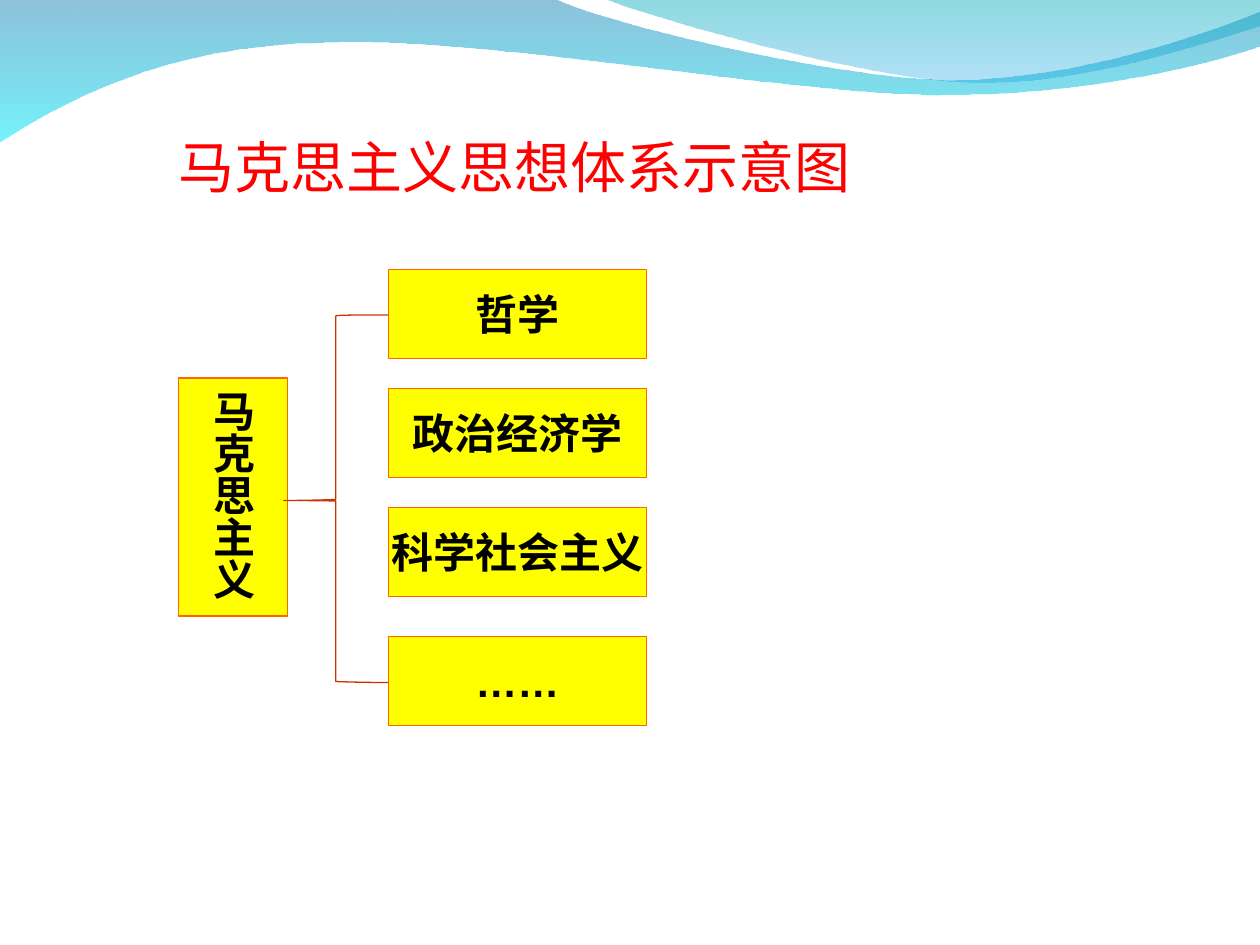
from lxml import etree
from pptx import Presentation
from pptx import util as u
from pptx.dml.color import RGBColor
from pptx.enum import shapes, text
from pptx.oxml import parse_xml
from pptx.oxml.ns import nsdecls, qn

RED = RGBColor(0xFF, 0x00, 0x00)
YELLOW = RGBColor(0xFF, 0xFF, 0x00)
ORANGE = RGBColor(0xFF, 0x66, 0x00)
RUST = RGBColor(0xCC, 0x33, 0x00)
BLACK = RGBColor(0x00, 0x00, 0x00)
STEEL = RGBColor(0x00, 0x79, 0xAF)
CYAN = RGBColor(0x00, 0xEB, 0xF8)
TEAL = RGBColor(0x00, 0xAD, 0xB6)
SKY = RGBColor(0x00, 0x9B, 0xE5)
CJK_FONT = "Noto Sans CJK SC"

# Outlines in centimetres: one point is a line, three points are a Bezier curve
WAVE_LEFT = [
    [(0, -0.03)],
    [(11.18, -0.03)],
    [(12.09, 0.43), (16.87, 1.6), (19.25, 1.6)],
    [(21.67, 1.6), (24.33, 0.66), (25.4, 0.23)],
    [(25.43, 0.91)],
    [(24.97, 1.12), (22.1, 1.93), (18.95, 1.91)],
    [(15.8, 1.91), (9.7, 0.71), (6.53, 0.86)],
    [(3.28, 0.89), (1.17, 2.11), (-0.03, 2.87)],
    [(0, -0.03)],
]
WAVE_RIGHT = [
    [(12.17, -0.03)],
    [(12.93, 0.28), (17.32, 1.57), (19.53, 1.65)],
    [(21.74, 1.75), (24.41, 0.81), (25.4, 0.53)],
    [(25.4, 0)],
    [(12.17, -0.03)],
]
BRACE = [
    [(7.83, 6.35)],
    [(7.32, 6.35), (6.77, 6.35), (6.77, 6.37)],
    [(6.77, 10.07)],
    [(6.77, 10.07), (6.25, 10.09), (5.72, 10.09)],
    [(6.25, 10.09), (6.77, 10.1), (6.77, 10.1)],
    [(6.77, 13.74)],
    [(6.77, 13.74), (7.32, 13.76), (7.83, 13.76)],
]


def add_outline(s, segments, close):
    """Freeform through the segment ends, with its curves set as Beziers."""
    ends = [(u.Cm(x), u.Cm(y)) for x, y in (segment[-1] for segment in segments)]
    builder = s.shapes.build_freeform(*ends[0])
    builder.add_line_segments(ends[1:], close=close)
    sp = builder.convert_to_shape()
    sp.shadow.inherit = False
    lines = list(sp._element.iter(qn("a:lnTo")))
    for line, segment in zip(lines, segments[1:]):
        if len(segment) == 3:
            curve = etree.Element(qn("a:cubicBezTo"))
            for x, y in segment:
                etree.SubElement(curve, qn("a:pt"), x=str(u.Cm(x) - sp.left),
                                 y=str(u.Cm(y) - sp.top))
            line.getparent().replace(line, curve)
    return sp


def add_wave(s, segments, *stops):
    """Filled wave with a downward gradient of (colour, opacity percent) stops."""
    sp = add_outline(s, segments, True)
    sp.line.fill.background()
    stop_xml = "".join(
        f'<a:gs pos="{pos}"><a:srgbClr val="{colour}">'
        f'<a:alpha val="{opacity * 1000}"/></a:srgbClr></a:gs>'
        for pos, (colour, opacity) in zip((0, 100000), stops))
    gradient = parse_xml(f'<a:gradFill {nsdecls("a")}><a:gsLst>{stop_xml}</a:gsLst>'
                         '<a:lin ang="5400000" scaled="0"/></a:gradFill>')
    sp._element.spPr.find(qn("a:custGeom")).addnext(gradient)


def add_brace(s):
    sp = add_outline(s, BRACE, False)
    sp.fill.background()
    sp.line.color.rgb = RUST
    sp.line.width = u.Pt(0.75)


def set_text(sp, words, size, latin, colour, bold=False):
    p = sp.text_frame.paragraphs[0]
    p.text = words
    r = p.runs[0]
    r.font.size = u.Pt(size)
    r.font.name = latin
    r.font.bold = bold
    r.font.color.rgb = colour
    etree.SubElement(r._r.rPr, qn("a:ea"), typeface=CJK_FONT)
    return p


def set_margins(tf, left, top, right, bottom):
    tf.margin_left, tf.margin_top = u.Cm(left), u.Cm(top)
    tf.margin_right, tf.margin_bottom = u.Cm(right), u.Cm(bottom)


def add_title(s, words):
    sp = s.shapes.add_textbox(u.Cm(3.6), u.Cm(2.12), u.Cm(19.48), u.Cm(1.91))
    tf = sp.text_frame
    tf.word_wrap = True
    tf.vertical_anchor = text.MSO_ANCHOR.BOTTOM
    set_margins(tf, 0, 0.13, 0, 0)
    set_text(sp, words, 32, CJK_FONT, RED)


def add_box(s, words, left, top, width, height, vertical=False):
    sp = s.shapes.add_shape(shapes.MSO_SHAPE.RECTANGLE,
                            u.Cm(left), u.Cm(top), u.Cm(width), u.Cm(height))
    sp.shadow.inherit = False
    sp.fill.solid()
    sp.fill.fore_color.rgb = YELLOW
    sp.line.color.rgb = ORANGE
    sp.line.width = u.Pt(0.75)
    tf = sp.text_frame
    tf.word_wrap = False
    tf.vertical_anchor = text.MSO_ANCHOR.MIDDLE
    if vertical:
        set_margins(tf, 0.13, 0.25, 0.13, 0.25)
        tf._txBody.bodyPr.set("vert", "eaVert")
    else:
        set_margins(tf, 0.25, 0.13, 0.25, 0.13)
    p = set_text(sp, words, 24, "Arial", BLACK, bold=True)
    p.alignment = text.PP_ALIGN.CENTER


def main():
    prs = Presentation()
    prs.slide_width, prs.slide_height = u.Cm(25.4), u.Cm(19.05)
    s = prs.slides.add_slide(prs.slide_layouts[6])

    # Header waves
    add_wave(s, WAVE_LEFT, (STEEL, 45), (CYAN, 55))
    add_wave(s, WAVE_RIGHT, (TEAL, 45), (SKY, 30))

    add_title(s, "马克思主义思想体系示意图")

    # Branches: three evenly spaced, the open-ended one set further down
    branches = ["哲学", "政治经济学", "科学社会主义"]
    for i, words in enumerate(branches):
        add_box(s, words, 7.83, 5.43 + 2.4 * i, 5.2, 1.8)
    add_box(s, "……", 7.83, 12.83, 5.2, 1.8)

    # Root and its brace
    add_box(s, "马克思主义", 3.6, 7.62, 2.2, 4.8, vertical=True)
    add_brace(s)

    prs.save("out.pptx")


if __name__ == "__main__":
    main()
